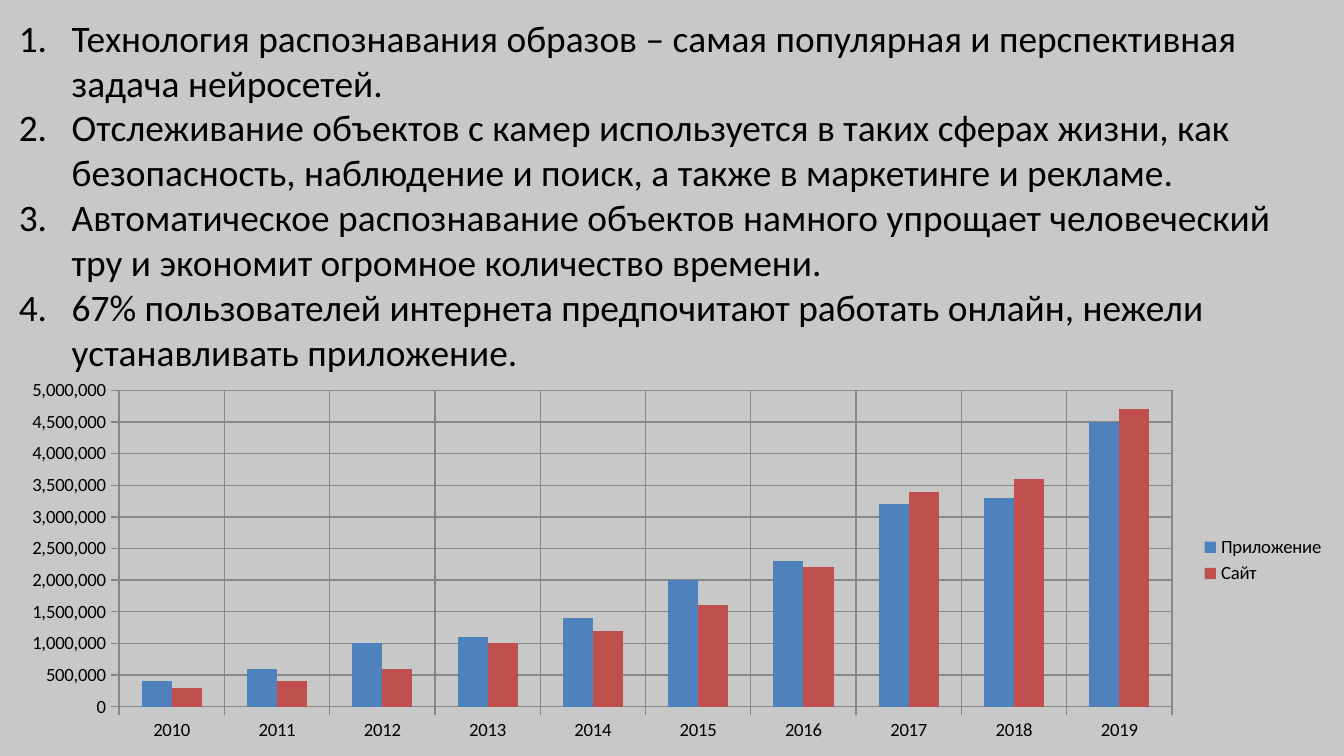
from dataclasses import dataclass

from lxml import etree
from pptx import Presentation
from pptx.chart.data import CategoryChartData
from pptx.dml.color import RGBColor
from pptx.enum.chart import XL_CHART_TYPE, XL_LEGEND_POSITION, XL_TICK_MARK
from pptx.oxml.ns import qn
from pptx.util import Pt

COLUMNS = XL_CHART_TYPE.COLUMN_CLUSTERED
LEGEND_RIGHT = XL_LEGEND_POSITION.RIGHT
TICK_OUTSIDE = XL_TICK_MARK.OUTSIDE
TICK_NONE = XL_TICK_MARK.NONE


@dataclass(frozen=True)
class Theme:
    font: str = "Calibri"
    body_size: int = 20
    chart_size: int = 10
    background: str = "C8C8C8"
    text: str = "000000"
    grid: str = "878787"
    series: tuple = ("4F81BD", "C0504D")


THEME = Theme()

CONCLUSIONS = (
    "Технология распознавания образов – самая популярная и перспективная "
    "задача нейросетей.",
    "Отслеживание объектов с камер используется в таких сферах жизни, как "
    "безопасность, наблюдение и поиск, а также в маркетинге и рекламе.",
    "Автоматическое распознавание объектов намного упрощает человеческий "
    "тру и экономит огромное количество времени.",
    "67% пользователей интернета предпочитают работать онлайн, нежели "
    "устанавливать приложение.",
)

YEARS = [str(year) for year in range(2010, 2020)]
USERS_IN_THOUSANDS = {
    "Приложение": (400, 600, 1000, 1100, 1400, 2000, 2300, 3200, 3300, 4500),
    "Сайт": (300, 400, 600, 1000, 1200, 1600, 2200, 3400, 3600, 4700),
}


def apply_format(target, values):
    for name, value in values.items():
        setattr(target, name, value)


def format_font(font, size):
    apply_format(font, {"name": THEME.font, "size": Pt(size)})
    font.color.rgb = RGBColor.from_string(THEME.text)


def number_paragraph(para, indent):
    properties = para._p.get_or_add_pPr()
    properties.set("marL", str(Pt(indent)))
    properties.set("indent", str(-Pt(indent)))
    numbering = etree.SubElement(properties, qn("a:buAutoNum"))
    numbering.set("type", "arabicPeriod")


def add_numbered_list(page, items, left, top, width, height):
    box = page.shapes.add_textbox(Pt(left), Pt(top), Pt(width), Pt(height))
    frame = box.text_frame
    frame.word_wrap = True
    for index, item in enumerate(items):
        para = frame.add_paragraph() if index else frame.paragraphs[0]
        number_paragraph(para, indent=28.35)
        span = para.add_run()
        span.text = item
        format_font(span.font, THEME.body_size)


def format_axis(axis):
    apply_format(axis, {
        "has_major_gridlines": True,
        "major_tick_mark": TICK_OUTSIDE,
        "minor_tick_mark": TICK_NONE,
    })
    for line in (axis.format.line, axis.major_gridlines.format.line):
        line.color.rgb = RGBColor.from_string(THEME.grid)
        line.width = Pt(0.75)


def add_column_chart(page, left, top, width, height):
    data = CategoryChartData(number_format="#,##0")
    data.categories = YEARS
    for name, thousands in USERS_IN_THOUSANDS.items():
        data.add_series(name, [value * 1000 for value in thousands])
    chart = page.shapes.add_chart(
        COLUMNS, Pt(left), Pt(top), Pt(width), Pt(height), data).chart
    apply_format(chart, {"has_title": False, "has_legend": True})
    apply_format(chart.legend,
                 {"position": LEGEND_RIGHT, "include_in_layout": False})
    format_font(chart.font, THEME.chart_size)

    # Axes and gridlines
    for axis in (chart.category_axis, chart.value_axis):
        format_axis(axis)
    apply_format(chart.value_axis, {
        "minimum_scale": 0, "maximum_scale": 5000000, "major_unit": 500000})
    apply_format(chart.value_axis.tick_labels, {
        "number_format": "#,##0", "number_format_is_linked": False})

    # Columns
    plot = chart.plots[0]
    apply_format(plot, {"gap_width": 150, "overlap": 0, "vary_by_categories": False})
    for series, color in zip(plot.series, THEME.series):
        series.format.fill.solid()
        series.format.fill.fore_color.rgb = RGBColor.from_string(color)


def main():
    deck = Presentation()
    apply_format(deck, {"slide_width": Pt(720), "slide_height": Pt(405)})
    page = deck.slides.add_slide(deck.slide_layouts[6])
    page.background.fill.solid()
    page.background.fill.fore_color.rgb = RGBColor.from_string(THEME.background)

    # Conclusions above, chart below, sharing the same margins
    margin = 3
    width = 720 - 2 * margin
    add_numbered_list(page, CONCLUSIONS, margin, 4.5, width, 221)
    add_column_chart(page, margin, 199.5, width, 201.5)
    deck.save("out.pptx")


main()
